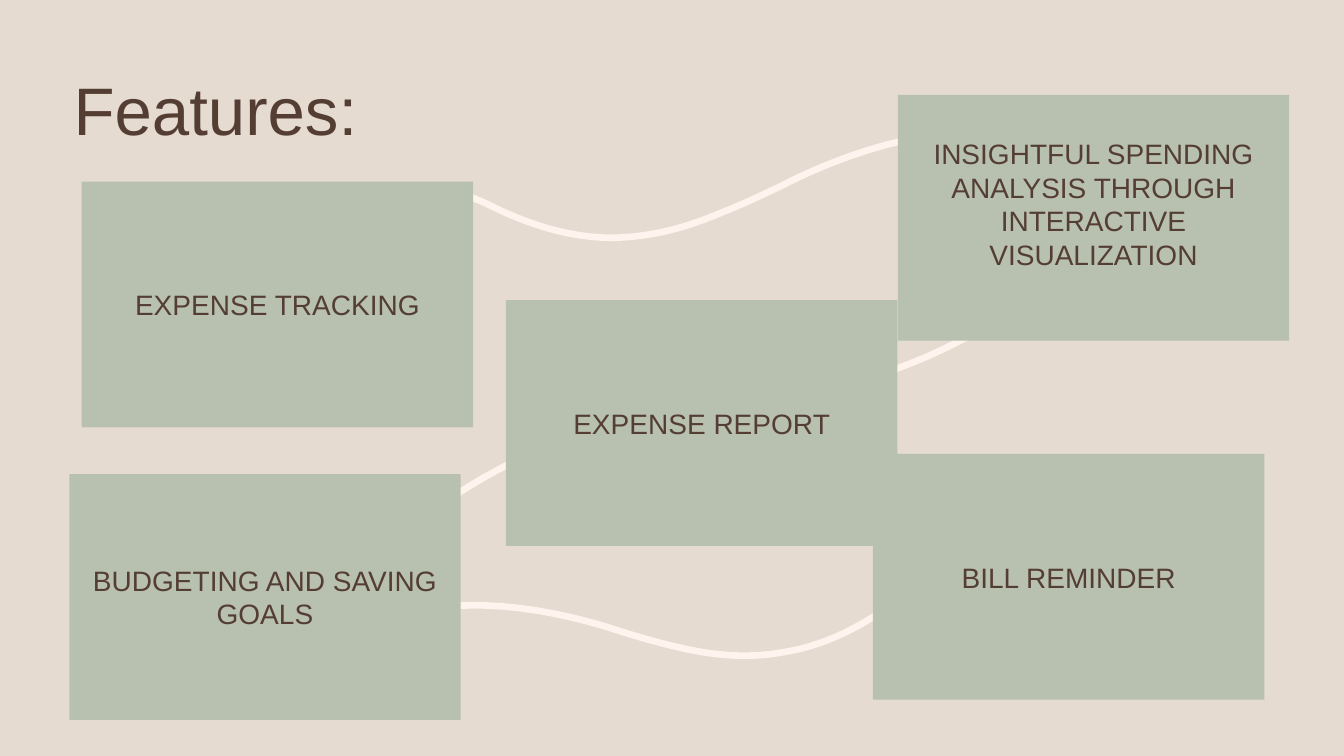
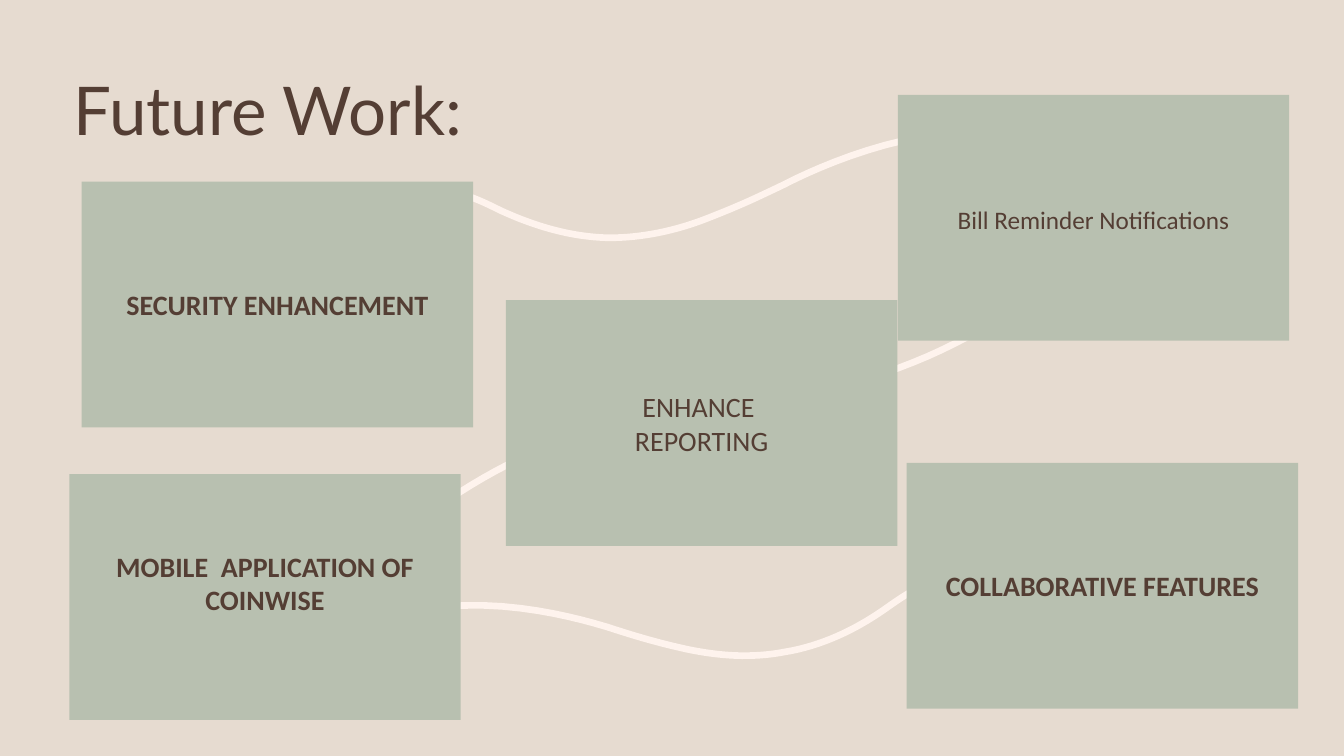
from dataclasses import dataclass

from pptx import Presentation
from pptx.dml.color import RGBColor
from pptx.enum.shapes import MSO_SHAPE
from pptx.enum.text import MSO_ANCHOR, PP_ALIGN
from pptx.util import Pt


@dataclass(frozen=True)
class Theme:
    """Colours and sizes shared by the slides."""
    background: RGBColor = RGBColor.from_string("E6DBD0")
    card: RGBColor = RGBColor.from_string("B8C0B0")
    ink: RGBColor = RGBColor.from_string("543E34")
    wave: RGBColor = RGBColor.from_string("FEF3ED")
    wave_width: float = 4.75
    title_size: float = 48
    card_size: float = 20
    small_size: float = 18
    leading: float = 24


THEME = Theme()
TITLE_BOX = (45.4, 0, 566, 110.9)
CARD_SIZE = (279.6, 175.6)
RAISED = 20
CURVE_STEPS = 16

TOP_LEFT = (58.4, 129.7)
TOP_RIGHT = (641.3, 67.8)
CENTRE = (361.4, 214.4)
BOTTOM_LEFT = (49.5, 338.6)

WAVES = [
    [(599.8, 275.8), (657.4, 261.4), (709.2, 235.4), (753.8, 198)],
    [(420.5, 308.2), (366.5, 325.4), (320.4, 352.8), (280.1, 388.1)],
    [(221, 160.6), (252, 134.6), (286.6, 127.4), (323.3, 136.8),
     (335.5, 139.7), (346.3, 144.7), (357.8, 150.5),
     (381.6, 161.3), (406.8, 169.2), (434.9, 169.9),
     (458.6, 169.9), (482.4, 164.9), (504.7, 156.2),
     (530.6, 146.2), (545, 139), (560.2, 131.8),
     (576.7, 123.1), (676.8, 74.2), (739.4, 105.1)],
    [(662.4, 416.9), (650.9, 421.9), (641.5, 428.4), (631.4, 435.6),
     (610.6, 450), (586.8, 461.5), (560.2, 465.8),
     (537.1, 470.2), (514.1, 468.7), (490.3, 463.7),
     (464.4, 457.9), (449.3, 452.9), (433.4, 447.8),
     (416.2, 442.8), (312.5, 410.4), (249.8, 457.9)],
]

SLIDES = [
    ("Features:", "Arial", "Arial", [
        (TOP_LEFT, ["EXPENSE TRACKING"], {}),
        (TOP_RIGHT, ["INSIGHTFUL SPENDING ANALYSIS THROUGH "
                     "INTERACTIVE VISUALIZATION"], {"raise_by": RAISED}),
        (CENTRE, ["EXPENSE REPORT"], {}),
        (BOTTOM_LEFT, ["BUDGETING AND SAVING GOALS"], {}),
        ((623.6, 324.2), ["BILL REMINDER"], {}),
    ]),
    ("Future Work:", "Lato", "Calibri", [
        (TOP_LEFT, ["SECURITY ENHANCEMENT"], {"bold": True}),
        (TOP_RIGHT, ["Bill Reminder Notifications"],
         {"size": THEME.small_size}),
        (CENTRE, ["ENHANCE ", "REPORTING"], {}),
        (BOTTOM_LEFT, ["MOBILE  APPLICATION OF COINWISE"],
         {"bold": True, "raise_by": RAISED}),
        ((647.7, 330.6), ["COLLABORATIVE FEATURES"], {"bold": True}),
    ]),
]


def set_attrs(target, values):
    """Set each named attribute of an object."""
    for name, value in values.items():
        setattr(target, name, value)


def write(p, text, font, size, bold=False):
    """Add one formatted run to a paragraph."""
    r = p.add_run()
    r.text = text
    set_attrs(r.font, {"name": font, "size": Pt(size), "bold": bold})
    r.font.color.rgb = THEME.ink


def place(sp, left, top, width, height):
    """Move and size a shape in points."""
    set_attrs(sp, {"left": Pt(left), "top": Pt(top),
                   "width": Pt(width), "height": Pt(height)})


def bezier(p0, p1, p2, p3):
    """Return points along one cubic segment, without its start."""
    points = []
    for step in range(1, CURVE_STEPS + 1):
        t = step / CURVE_STEPS
        u = 1 - t
        weights = (u ** 3, 3 * u * u * t, 3 * u * t * t, t ** 3)
        points.append(tuple(
            Pt(sum(w * c for w, c in zip(weights, axis)))
            for axis in zip(p0, p1, p2, p3)))
    return points


def add_wave(slide, nodes):
    """Draw an open curve through cubic segments."""
    x, y = nodes[0]
    builder = slide.shapes.build_freeform(Pt(x), Pt(y))
    for i in range(0, len(nodes) - 1, 3):
        builder.add_line_segments(bezier(*nodes[i:i + 4]), close=False)
    sp = builder.convert_to_shape()
    sp.shadow.inherit = False
    sp.fill.background()
    sp.line.color.rgb = THEME.wave
    sp.line.width = Pt(THEME.wave_width)
    return sp


def share_waves(slide):
    """Draw the waves and move them to the slide's layout."""
    tree = slide.slide_layout.shapes.element
    for shape_id, nodes in enumerate(WAVES, start=100):
        sp = add_wave(slide, nodes)
        sp.element.nvSpPr.cNvPr.set("id", str(shape_id))
        tree.append(sp.element)


def add_title(slide, text, font):
    """Move and fill the title placeholder."""
    sp = slide.shapes.title
    place(sp, *TITLE_BOX)
    tf = sp.text_frame
    set_attrs(tf, {"word_wrap": True, "vertical_anchor": MSO_ANCHOR.BOTTOM})
    p = tf.paragraphs[0]
    set_attrs(p, {"alignment": PP_ALIGN.LEFT, "line_spacing": 0.9})
    write(p, text, font, THEME.title_size)


def add_card(slide, position, lines, font, size=THEME.card_size,
             bold=False, raise_by=0):
    """Add a filled card with centred lines of text."""
    box = [Pt(v) for v in (*position, *CARD_SIZE)]
    sp = slide.shapes.add_shape(MSO_SHAPE.RECTANGLE, *box)
    sp.shadow.inherit = False
    sp.fill.solid()
    sp.fill.fore_color.rgb = THEME.card
    sp.line.fill.background()
    tf = sp.text_frame
    set_attrs(tf, {"word_wrap": True, "vertical_anchor": MSO_ANCHOR.MIDDLE,
                   "margin_bottom": Pt(3.6 + raise_by)})
    for i, text in enumerate(lines):
        p = tf.add_paragraph() if i else tf.paragraphs[0]
        set_attrs(p, {"alignment": PP_ALIGN.CENTER,
                      "line_spacing": Pt(THEME.leading)})
        write(p, text, font, size, bold)


def main():
    """Build and save the presentation."""
    prs = Presentation()
    set_attrs(prs, {"slide_width": Pt(960), "slide_height": Pt(540)})
    fill = prs.slide_master.background.fill
    fill.solid()
    fill.fore_color.rgb = THEME.background
    layout = prs.slide_layouts.get_by_name("Title Only")
    for title, title_font, card_font, cards in SLIDES:
        slide = prs.slides.add_slide(layout)
        add_title(slide, title, title_font)
        for position, lines, options in cards:
            add_card(slide, position, lines, card_font, **options)
    share_waves(prs.slides[0])
    prs.save("out.pptx")


if __name__ == "__main__":
    main()
